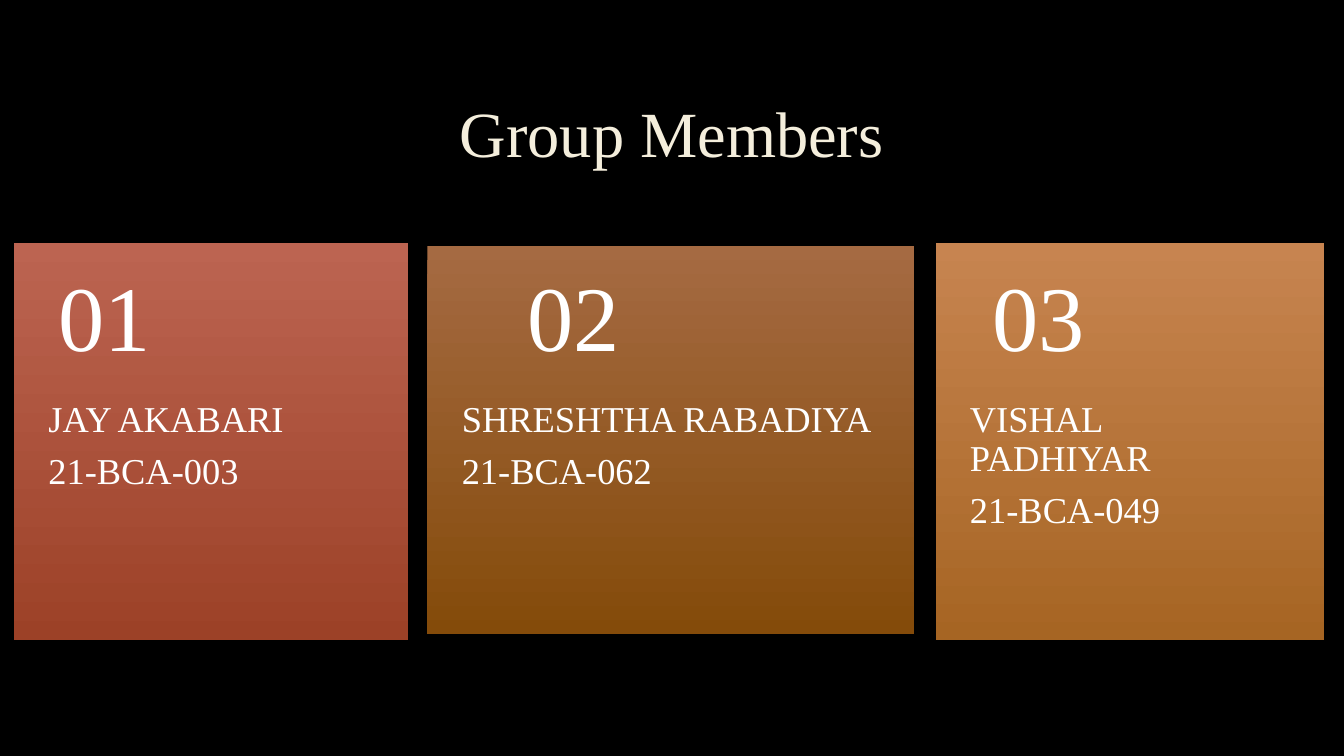
"""Build the Group Members slide with three numbered gradient cards."""
from pptx import Presentation
from pptx.dml.color import RGBColor
from pptx.enum.shapes import MSO_SHAPE
from pptx.enum.text import MSO_ANCHOR, PP_ALIGN
from pptx.util import Inches, Pt

RECT = MSO_SHAPE.RECTANGLE
TOP, MIDDLE = MSO_ANCHOR.TOP, MSO_ANCHOR.MIDDLE
LEFT, CENTER = PP_ALIGN.LEFT, PP_ALIGN.CENTER

THEME = {
    "font": "Times New Roman",
    "background": "000000",
    "title": "F4EEDC",
    "text": "FFFFFF",
    "title_size": 46,
    "number_size": 66,
    "member_size": 26,
}

TITLE = "Group Members"
MEMBERS = [
    {"name": "JAY AKABARI", "roll": "21-BCA-003", "card": (0.14, 2.41, 3.91, 3.94),
     "number_left": 0.24, "gradient": ("BC6451", "9C4127")},
    {"name": "SHRESHTHA RABADIYA", "roll": "21-BCA-062", "card": (4.24, 2.44, 4.83, 3.85),
     "number_left": 4.89, "gradient": ("A56A42", "844B0A")},
    {"name": "VISHAL PADHIYAR", "roll": "21-BCA-049", "card": (9.28, 2.41, 3.85, 3.94),
     "number_left": 9.5, "gradient": ("C78450", "A66523")},
]

NUMBER_TOP, NUMBER_WIDTH, NUMBER_HEIGHT = 2.41, 3.44, 1.57
DETAILS_TOP = NUMBER_TOP + NUMBER_HEIGHT
NUMBER_INSETS = (0.34, 0.18, 0.34, 0.18)
DETAILS_INSETS = (0.34, 0, 0.34, 0.36)
TITLE_INSETS = (0.1, 0.05, 0.1, 0.05)


def add_text(s, box, lines, size, color, insets, anchor=TOP, align=LEFT, after=0):
    tf = s.shapes.add_textbox(*map(Inches, box)).text_frame
    tf.word_wrap = True
    tf.vertical_anchor = anchor
    tf.margin_left, tf.margin_top, tf.margin_right, tf.margin_bottom = map(Inches, insets)
    tf.text = "\n".join(lines)
    for p in tf.paragraphs:
        p.alignment = align
        p.line_spacing = 0.9
        p.space_after = Pt(after)
        font = p.runs[0].font
        font.name = THEME["font"]
        font.size = Pt(size)
        font.color.rgb = RGBColor.from_string(color)


def add_card(s, box, gradient):
    sp = s.shapes.add_shape(RECT, *map(Inches, box))
    sp.shadow.inherit = False
    sp.line.fill.background()
    sp.fill.gradient()
    sp.fill.gradient_angle = 270
    for stop, color in zip(sp.fill.gradient_stops, gradient):
        stop.color.rgb = RGBColor.from_string(color)


def add_member(s, index, member):
    left, top, width, height = member["card"]
    add_card(s, member["card"], member["gradient"])
    add_text(s, (left, DETAILS_TOP, width, top + height - DETAILS_TOP),
             [member["name"], member["roll"]], THEME["member_size"], THEME["text"],
             DETAILS_INSETS, after=9)
    add_text(s, (member["number_left"], NUMBER_TOP, NUMBER_WIDTH, NUMBER_HEIGHT),
             [f"{index:02}"], THEME["number_size"], THEME["text"],
             NUMBER_INSETS, anchor=MIDDLE)


def main():
    prs = Presentation()
    prs.slide_width, prs.slide_height = Inches(13.33), Inches(7.5)
    s = prs.slides.add_slide(prs.slide_layouts[6])
    s.background.fill.solid()
    s.background.fill.fore_color.rgb = RGBColor.from_string(THEME["background"])
    add_text(s, (1, 0.67, 11.32, 1.38), [TITLE], THEME["title_size"], THEME["title"],
             TITLE_INSETS, anchor=MIDDLE, align=CENTER)
    for index, member in enumerate(MEMBERS, 1):
        add_member(s, index, member)
    prs.save("out.pptx")


if __name__ == "__main__":
    main()
